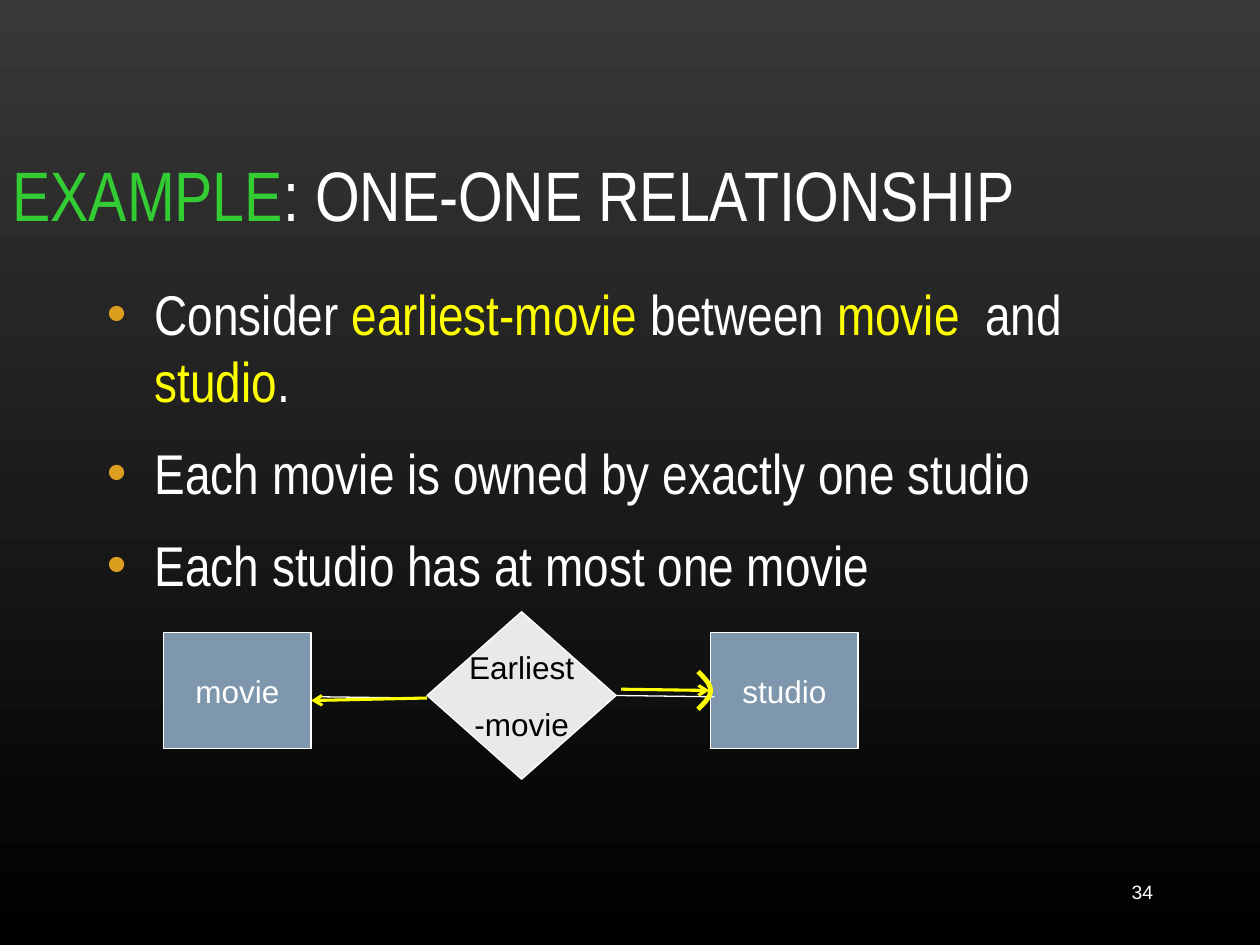
from pptx import Presentation, util as u
from pptx.dml.color import RGBColor
from pptx.enum import shapes as sh, text as tx
from pptx.oxml.ns import qn
from lxml import etree

THEME = {
    "top": "383838", "base": "000000", "white": "FFFFFF", "black": "000000",
    "green": "33CC33", "yellow": "FFFF00", "gold": "DC9E1F",
    "box": "7E97AD", "gem": "E7E9EA",
    "head": 40, "body": 32, "label": 18, "page": 11,
    "narrow": "Arial Narrow", "sans": "Arial",
}
TITLE = [("EXAMPLE", "green"), (": ONE-ONE RELATIONSHIP", "white")]
POINTS = [
    [("Consider ", "white"), ("earliest-movie ", "yellow"), ("between ", "white"),
     ("movie ", "yellow"), (" and ", "white"), ("studio", "yellow"), (".", "white")],
    [("Each movie is owned by exactly one studio", "white")],
    [("Each studio has at most one movie", "white")],
]
RECT, GEM = sh.MSO_SHAPE.RECTANGLE, sh.MSO_SHAPE.DIAMOND
NODES = [  # kind, left, width, height, lines, fill, ink
    (RECT, 1.3, 1.17, 0.92, ["movie"], "box", "white"),
    (RECT, 5.64, 1.17, 0.92, ["studio"], "box", "white"),
    (GEM, 3.39, 1.5, 1.33, ["Earliest", "-movie"], "gem", "black"),
]
MID = 5.48  # centre height of the two entities
DROP = {RECT: 0, GEM: 0.04}
LINKS = [  # from, to, colour, weight, arrow
    ((4.89, 5.52), (5.67, 5.53), "white", 0.75, False),
    ((2.54, 5.53), (3.32, 5.54), "white", 0.75, False),
    ((3.39, 5.54), (2.47, 5.56), "yellow", 1.75, True),
    ((4.93, 5.47), (5.63, 5.48), "yellow", 1.75, True),
]
CURVES = [  # Bezier control points of the round arrowhead
    [(5.54, 5.33), (5.59, 5.38), (5.64, 5.43), (5.64, 5.48)],
    [(5.64, 5.48), (5.64, 5.53), (5.59, 5.58), (5.54, 5.63)],
]


def color(name):
    return RGBColor.from_string(THEME[name])


def write(par, runs, size, face):
    for words, ink in runs:
        run = par.add_run()
        run.text = words
        font = run.font
        font.size, font.name = u.Pt(THEME[size]), THEME[face]
        font.color.rgb = color(ink)


def add_text(slide, place, rows, size, face, anchor):
    frame = slide.shapes.add_textbox(*map(u.Inches, place)).text_frame
    frame.word_wrap, frame.vertical_anchor = True, anchor
    for i, runs in enumerate(rows):
        par = frame.add_paragraph() if i else frame.paragraphs[0]
        write(par, runs, size, face)
    return frame.paragraphs


def add_bullet(par):
    props = par._p.get_or_add_pPr()
    props.set("marL", str(u.Inches(0.38)))
    props.set("indent", str(-u.Inches(0.38)))
    tint = etree.SubElement(props, qn("a:buClr"))
    etree.SubElement(tint, qn("a:srgbClr"), val=THEME["gold"])
    etree.SubElement(props, qn("a:buFont"), typeface=THEME["sans"])
    etree.SubElement(props, qn("a:buChar"), char="•")


def add_node(slide, kind, left, wide, high, lines, fill, ink):
    top = MID + DROP[kind] - high / 2
    node = slide.shapes.add_shape(kind, *map(u.Inches, (left, top, wide, high)))
    node.shadow.inherit = False
    node.fill.solid()
    node.fill.fore_color.rgb = color(fill)
    node.line.color.rgb, node.line.width = color("white"), u.Pt(0.75)
    frame = node.text_frame
    frame.word_wrap, frame.vertical_anchor = False, tx.MSO_ANCHOR.MIDDLE
    for i, line in enumerate(lines):
        par = frame.add_paragraph() if i else frame.paragraphs[0]
        par.alignment = tx.PP_ALIGN.CENTER
        if len(lines) > 1:
            par.space_before, par.space_after = u.Pt(4.5 if i else 0), u.Pt(6)
        write(par, [(line, ink)], "label", "sans")


def add_link(slide, start, end, ink, weight, arrow):
    link = slide.shapes.add_connector(
        sh.MSO_CONNECTOR.STRAIGHT, *map(u.Inches, start + end))
    link.line.color.rgb, link.line.width = color(ink), u.Pt(weight)
    if arrow:
        etree.SubElement(link.line._get_or_add_ln(), qn("a:tailEnd"), type="arrow")
    etree.SubElement(link._element.spPr, qn("a:effectLst"))


def bezier(ctrl, t):
    mix = ((1 - t) ** 3, 3 * t * (1 - t) ** 2, 3 * t * t * (1 - t), t ** 3)
    return tuple(u.Inches(sum(m * p[axis] for m, p in zip(mix, ctrl)))
                 for axis in (0, 1))


def add_arc(slide, steps=12):
    dots = [bezier(ctrl, n / steps) for ctrl in CURVES for n in range(1, steps + 1)]
    pen = slide.shapes.build_freeform(*bezier(CURVES[0], 0))
    pen.add_line_segments(dots, close=False)
    arc = pen.convert_to_shape()
    arc.shadow.inherit = False
    arc.fill.background()
    arc.line.color.rgb, arc.line.width = color("yellow"), u.Pt(2.75)


def main():
    deck = Presentation()
    deck.slide_width, deck.slide_height = u.Inches(10), u.Inches(7.5)
    slide = deck.slides.add_slide(deck.slide_layouts[6])
    back = slide.background.fill
    back.gradient()
    back.gradient_angle = 270
    for stop, name in zip(back.gradient_stops, ("top", "base")):
        stop.color.rgb = color(name)

    anchor = tx.MSO_ANCHOR
    page = add_text(slide, (7.17, 6.83, 2.08, 0.5), [[("34", "white")]],
                    "page", "sans", anchor.MIDDLE)
    page[0].alignment = tx.PP_ALIGN.RIGHT
    add_text(slide, (0, 0.67, 10, 1.25), [TITLE], "head", "narrow", anchor.BOTTOM)
    body = add_text(slide, (0.75, 2.17, 8.5, 4.5), POINTS,
                    "body", "narrow", anchor.TOP)
    for i, par in enumerate(body):
        add_bullet(par)
        par.space_before, par.space_after = u.Pt(8 if i else 0), u.Pt(6)

    for node in NODES:
        add_node(slide, *node)
    for link in LINKS:
        add_link(slide, *link)
    add_arc(slide)
    deck.save("out.pptx")


if __name__ == "__main__":
    main()
